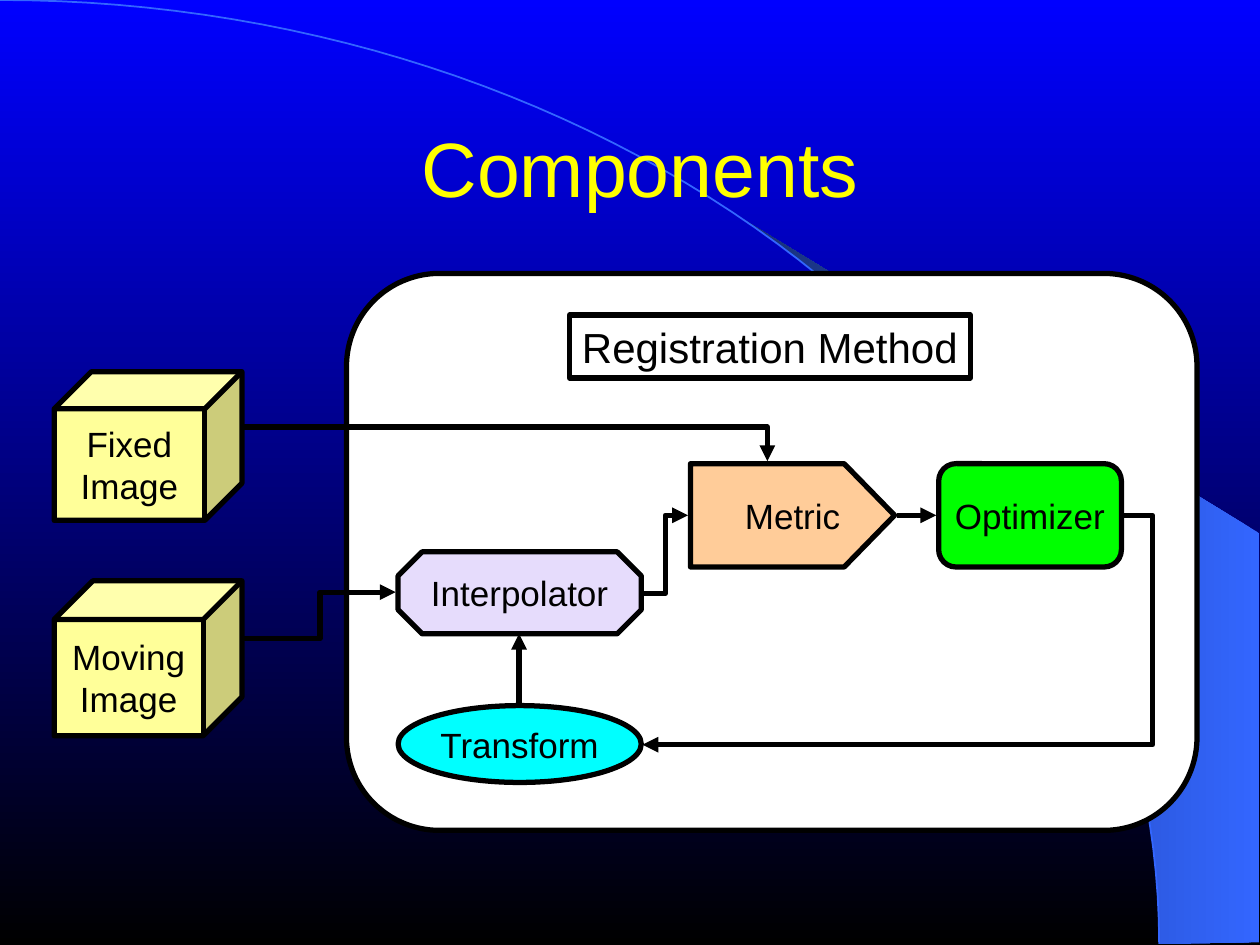
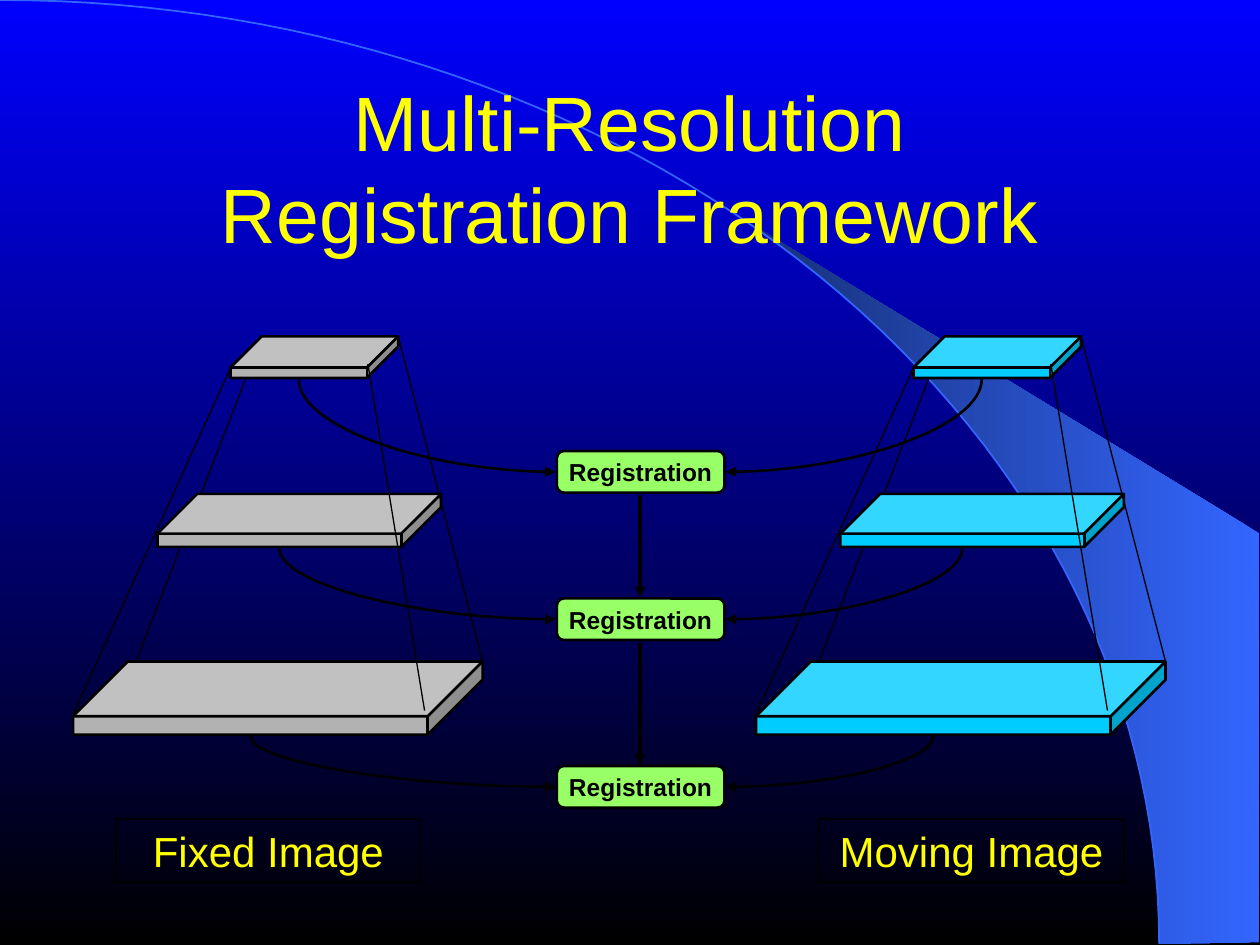
import math
from typing import NamedTuple, Optional

from lxml import etree
from pptx import Presentation
from pptx.dml.color import RGBColor
from pptx.enum.shapes import MSO_CONNECTOR as Link, MSO_SHAPE as Preset
from pptx.enum.text import MSO_ANCHOR as Anchor, MSO_AUTO_SIZE as AutoSize, PP_ALIGN as Align
from pptx.oxml.ns import qn
from pptx.util import Inches, Pt

COLORS = {
    "sky": "0000FF", "black": "000000", "white": "FFFFFF", "title": "FFFF00",
    "arc": "3366FF", "arc_dark": "172F75", "image": "FFFF99", "metric": "FFCC99",
    "optimizer": "00FF00", "interpolator": "E6DCFC", "transform": "00FFFF",
    "registration": "99FF66", "fixed": "B2B2B2", "moving": "00CCFF",
}
FONT = "Arial"


class Node(NamedTuple):
    text: str
    preset: Preset
    left: float
    top: float
    width: float
    height: float
    color: str
    adjust: Optional[float] = None


class Arrow(NamedTuple):
    kind: Link
    start: tuple
    end: tuple
    preset: Optional[str] = None
    bend: Optional[int] = None


class Tier(NamedTuple):
    left: float  # from the left edge of the pyramid
    top: float
    width: float
    height: float
    registration_top: float


class Pyramid(NamedTuple):
    label: str
    left: float
    label_left: float
    color: str


# Components diagram
NODES = [
    Node("", Preset.ROUNDED_RECTANGLE, 2.75, 2.17, 6.75, 4.42, "white", 0.167),
    Node("Fixed\vImage", Preset.CUBE, 0.43, 2.95, 1.49, 1.18, "image", 0.25),
    Node("Moving\vImage", Preset.CUBE, 0.43, 4.61, 1.49, 1.23, "image", 0.25),
    Node("Transform", Preset.OVAL, 3.16, 5.6, 1.93, 0.61, "transform"),
    Node("Interpolator", Preset.OCTAGON, 3.16, 4.38, 1.93, 0.65, "interpolator", 0.293),
    Node("Optimizer", Preset.ROUNDED_RECTANGLE, 7.45, 3.68, 1.45, 0.82, "optimizer", 0.167),
]
METRIC_OUTLINE = [(5.48, 3.68), (6.7, 3.68), (7.1, 4.09), (6.7, 4.5), (5.48, 4.5)]
ARROWS = [
    Arrow(Link.ELBOW, (1.94, 3.39), (6.09, 3.66), preset="bentConnector2"),
    Arrow(Link.ELBOW, (1.94, 5.07), (3.14, 4.7)),
    Arrow(Link.ELBOW, (5.1, 4.71), (5.46, 4.09)),
    Arrow(Link.STRAIGHT, (4.12, 5.6), (4.12, 5.03)),
    Arrow(Link.STRAIGHT, (7.12, 4.09), (7.43, 4.09)),
    Arrow(Link.ELBOW, (8.92, 4.09), (5.1, 5.91), bend=-6000),
]

# Multi-resolution pyramids
TIERS = [
    Tier(1.25, 2.67, 1.33, 0.33, 3.58),
    Tier(0.67, 3.92, 2.25, 0.42, 4.75),
    Tier(0, 5.25, 3.25, 0.58, 6.08),
]
PYRAMIDS = [
    Pyramid("Fixed Image", 0.58, 0.92, "fixed"),
    Pyramid("Moving Image", 6, 6.5, "moving"),
]
BACK_EDGE = ((0.5, 5.25), (1.5, 2.67))
FRONT_EDGES = [((0, 5.67), (1.25, 2.92)), ((2.79, 5.64), (2.34, 2.89)),
               ((3.25, 5.25), (2.58, 2.67))]
REGISTRATION_LEFT, REGISTRATION_WIDTH, REGISTRATION_HEIGHT = 4.42, 1.33, 0.33
CUBE_DEPTH = 0.75


def rgb(name: str) -> RGBColor:
    return RGBColor.from_string(COLORS[name])


def put_text(shape, text: str, *, size: float, color: str = "black", bold: bool = False,
             align=Align.CENTER, anchor=Anchor.MIDDLE, wrap: bool = False,
             fit=AutoSize.NONE) -> None:
    frame = shape.text_frame
    frame.auto_size = fit
    frame.word_wrap = wrap
    frame.vertical_anchor = anchor
    para = frame.paragraphs[0]
    para.text = text
    para.alignment = align
    for span in para.runs:
        span.font.name = FONT
        span.font.size = Pt(size)
        span.font.bold = bold
        span.font.color.rgb = rgb(color)


def paint(shape, fill: Optional[str] = None, line: Optional[str] = "black",
          weight: float = 3) -> None:
    shape.shadow.inherit = False
    if fill:
        shape.fill.solid()
        shape.fill.fore_color.rgb = rgb(fill)
    else:
        shape.fill.background()
    if line:
        shape.line.color.rgb = rgb(line)
        shape.line.width = Pt(weight)
    else:
        shape.line.fill.background()


def paint_gradient(fill, first: str, last: str, angle: float) -> None:
    fill.gradient()
    fill.gradient_angle = angle
    for stop, name, position in zip(fill.gradient_stops, (first, last), (0, 1)):
        stop.color.rgb = rgb(name)
        stop.position = position


def add_box(page, preset, left: float, top: float, width: float, height: float, *,
            fill: Optional[str] = None, weight: float = 3, adjust: Optional[float] = None):
    box = page.shapes.add_shape(preset, Inches(left), Inches(top), Inches(width), Inches(height))
    if adjust is not None:
        box.adjustments[0] = adjust
    paint(box, fill, weight=weight)
    return box


def add_outline(page, points: list, closed: bool = True):
    corners = [(Inches(x), Inches(y)) for x, y in points]
    builder = page.shapes.build_freeform(*corners[0], scale=1.0)
    builder.add_line_segments(corners[1:], close=closed)
    return builder.convert_to_shape()


def add_line(page, kind: Link, start: tuple, end: tuple, weight: float, arrow: bool = False):
    line = page.shapes.add_connector(kind, *(Inches(n) for n in (*start, *end)))
    line.line.color.rgb = rgb("black")
    line.line.width = Pt(weight)
    if arrow:
        etree.SubElement(line.line._get_or_add_ln(), qn("a:tailEnd"), type="triangle")
    etree.SubElement(line.element.spPr, qn("a:effectLst"))
    return line


def reshape(line, preset: Optional[str], bend: Optional[int] = None) -> None:
    geometry = line.element.spPr.find(qn("a:prstGeom"))
    if preset:
        geometry.set("prst", preset)
    if bend is not None:
        guides = geometry.find(qn("a:avLst"))
        etree.SubElement(guides, qn("a:gd"), name="adj1", fmla=f"val {bend}")


def add_drop_curve(page, start: tuple, end: tuple) -> None:
    """Curved arrow that leaves downwards and arrives sideways."""
    (x1, y1), (x2, y2) = start, end
    width, height = y2 - y1, abs(x2 - x1)  # turned by a quarter
    left, top = (x1 + x2 - width) / 2, (y1 + y2 - height) / 2
    curve = add_line(page, Link.CURVE, (left, top), (left + width, top + height), 1.5, arrow=True)
    reshape(curve, "curvedConnector2")
    frame = curve.element.spPr.find(qn("a:xfrm"))
    if x2 > x1:
        frame.set("rot", "16200000")
        frame.set("flipH", "1")
    else:
        frame.set("rot", "5400000")


def style_master(deck, page) -> None:
    """Background gradient, light band and arc behind every slide."""
    master = deck.slide_master
    paint_gradient(master.background.fill, "sky", "black", 270)

    def arc(first_degree: float, steps: int) -> list:
        angles = [math.radians(first_degree + (90 - first_degree) * i / steps)
                  for i in range(steps + 1)]
        return [(9.2 * math.sin(a), 7.49 * (1 - math.cos(a))) for a in angles]

    band = add_outline(page, [(9.99, 7.48), (9.99, 4.23)] + arc(39.8, 30))
    paint(band, line=None)
    paint_gradient(band.fill, "arc", "arc_dark", 180)
    rim = add_outline(page, arc(0, 62), closed=False)
    paint(rim, line="arc", weight=1)
    for index, shape in enumerate((band, rim)):
        shape.element.nvSpPr.cNvPr.set("id", str(100 + index))
        master.shapes.element.insert(2 + index, shape.element)


def add_page(deck, title: str, left: float):
    page = deck.slides.add_slide(deck.slide_layouts[5])
    box = page.shapes.title
    box.left, box.top, box.width, box.height = (Inches(n) for n in (left, 0.57, 8.5, 1.51))
    frame = box.text_frame
    frame.margin_left = frame.margin_right = frame.margin_top = frame.margin_bottom = 0
    put_text(box, title, size=44, color="title", wrap=True)
    return page


def draw_components(page) -> None:
    for node in NODES:
        box = add_box(page, node.preset, node.left, node.top, node.width, node.height,
                      fill=node.color, adjust=node.adjust)
        if node.text:
            put_text(box, node.text, size=20)
    metric = add_outline(page, METRIC_OUTLINE)
    paint(metric, "metric")
    put_text(metric, "Metric", size=20)
    for arrow in ARROWS:
        line = add_line(page, arrow.kind, arrow.start, arrow.end, 3, arrow=True)
        reshape(line, arrow.preset, arrow.bend)
    heading = add_box(page, Preset.RECTANGLE, 4.52, 2.5, 3.18, 0.5)
    put_text(heading, "Registration Method", size=24, align=Align.LEFT, anchor=Anchor.TOP,
             fit=AutoSize.SHAPE_TO_FIT_TEXT)


def draw_registrations(page) -> None:
    right = REGISTRATION_LEFT + REGISTRATION_WIDTH
    previous_bottom = None
    for tier in TIERS:
        top = tier.registration_top
        box = add_box(page, Preset.ROUNDED_RECTANGLE, REGISTRATION_LEFT, top, REGISTRATION_WIDTH,
                      REGISTRATION_HEIGHT, fill="registration", weight=1.5, adjust=0.167)
        put_text(box, "Registration", size=14, bold=True)
        # Both pyramids feed this level
        for pyramid, edge in zip(PYRAMIDS, (REGISTRATION_LEFT - 0.01, right + 0.01)):
            face_center = pyramid.left + tier.left + (tier.width - CUBE_DEPTH * tier.height) / 2
            add_drop_curve(page, (face_center, tier.top + tier.height + 0.01),
                           (edge, top + REGISTRATION_HEIGHT / 2))
        if previous_bottom is not None:
            add_line(page, Link.STRAIGHT, (5.08, previous_bottom + 0.02), (5.08, top - 0.01), 2,
                     arrow=True)
        previous_bottom = top + REGISTRATION_HEIGHT


def draw_pyramid(page, pyramid: Pyramid) -> None:
    def add_edge(start: tuple, end: tuple) -> None:
        add_line(page, Link.STRAIGHT, (pyramid.left + start[0], start[1]),
                 (pyramid.left + end[0], end[1]), 0.75)

    add_edge(*BACK_EDGE)
    for tier in reversed(TIERS):
        add_box(page, Preset.CUBE, pyramid.left + tier.left, tier.top, tier.width, tier.height,
                fill=pyramid.color, weight=1.5, adjust=CUBE_DEPTH)
    for edge in FRONT_EDGES:
        add_edge(*edge)
    label = add_box(page, Preset.RECTANGLE, pyramid.label_left, 6.5, 2.42, 0.5, weight=0.75)
    put_text(label, pyramid.label, size=24, color="title", anchor=Anchor.TOP, wrap=True,
             fit=AutoSize.SHAPE_TO_FIT_TEXT)


def main() -> None:
    deck = Presentation()
    deck.slide_width, deck.slide_height = Inches(10), Inches(7.5)

    components = add_page(deck, "Components", 0.83)
    style_master(deck, components)
    draw_components(components)

    framework = add_page(deck, "Multi-Resolution\vRegistration Framework", 0.75)
    draw_registrations(framework)
    for pyramid in PYRAMIDS:
        draw_pyramid(framework, pyramid)

    deck.save("out.pptx")


if __name__ == "__main__":
    main()
